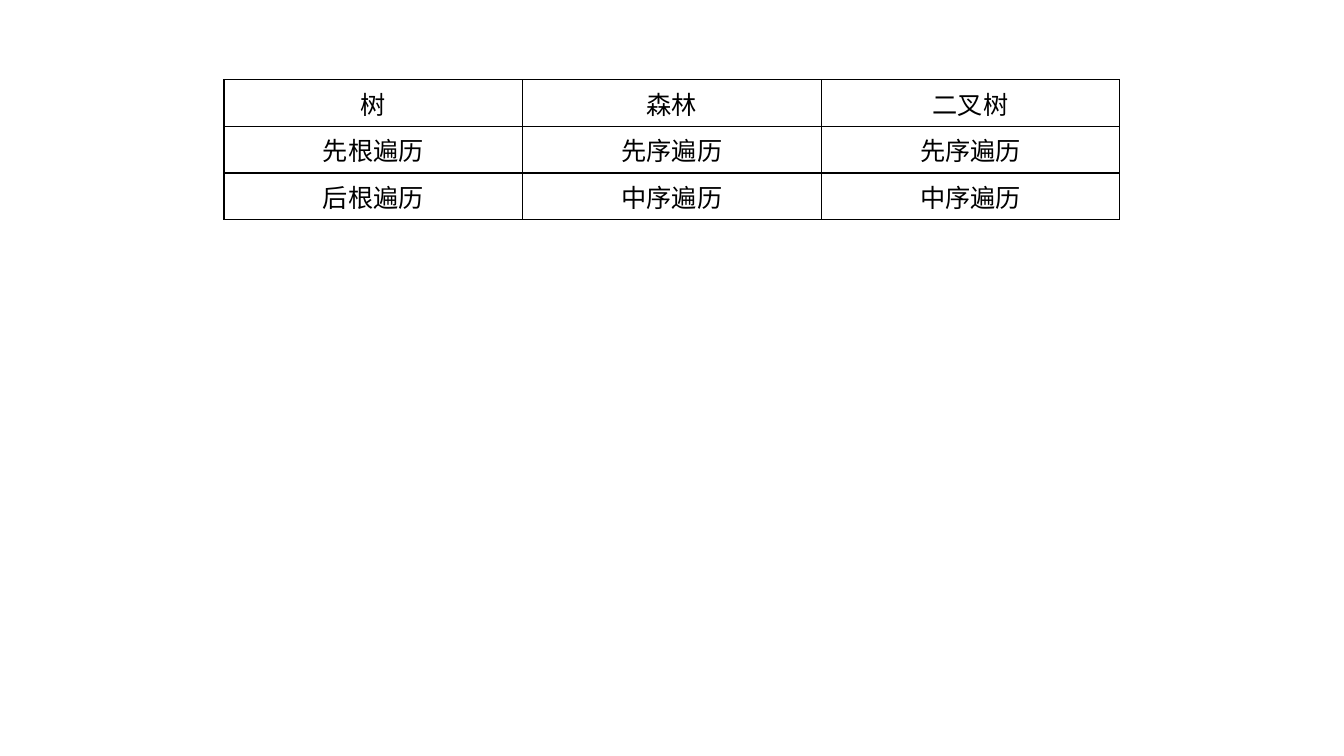
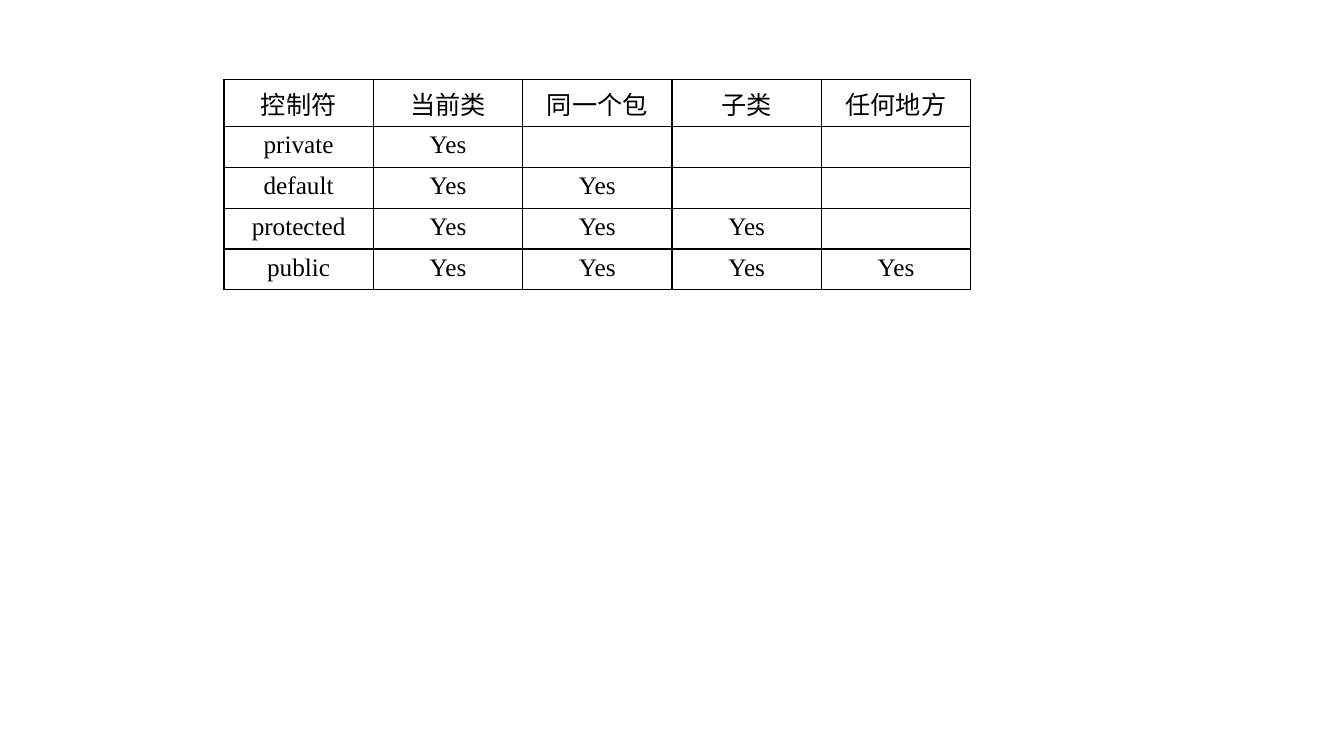
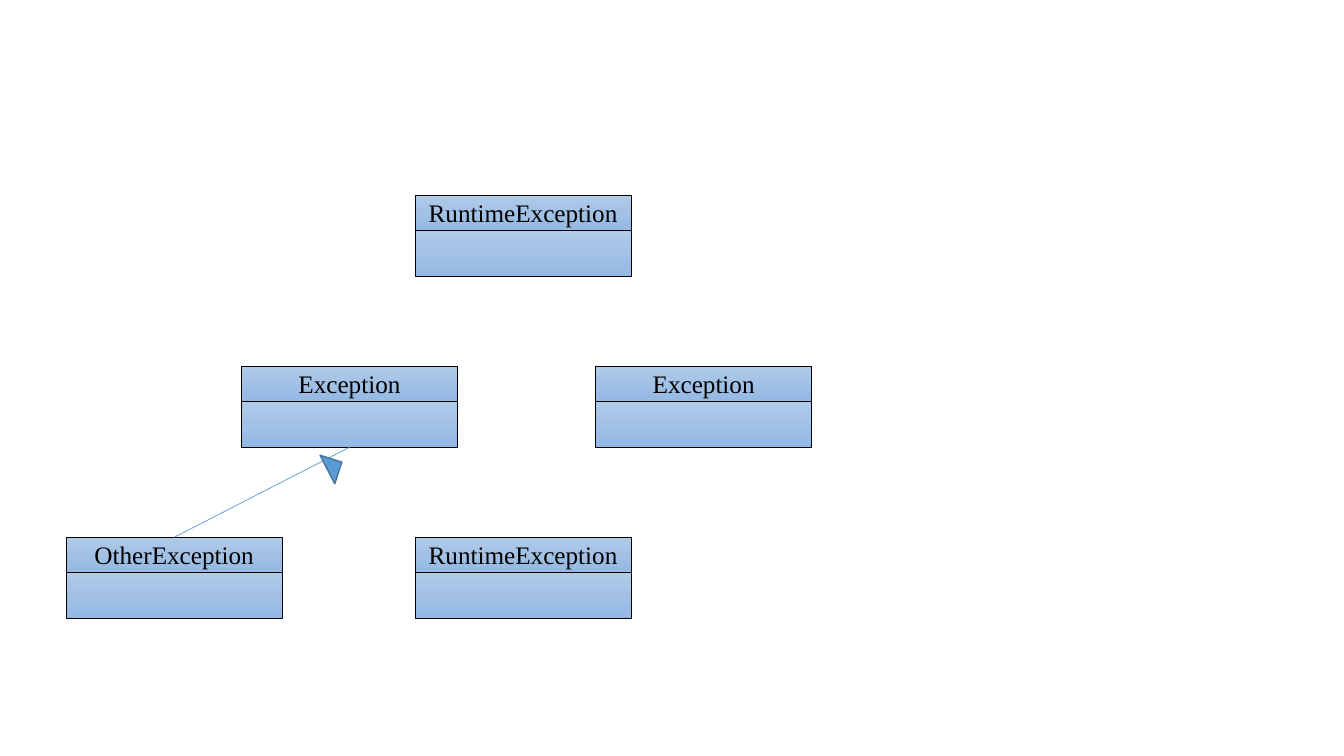
"""Build three slides: two comparison tables and an exception class diagram."""
import copy

import lxml.etree
import pptx
import pptx.dml.color
import pptx.enum.shapes
import pptx.enum.text
import pptx.oxml.ns
import pptx.util

Pt = pptx.util.Pt
RGBColor = pptx.dml.color.RGBColor
qn = pptx.oxml.ns.qn

BLACK = RGBColor(0x00, 0x00, 0x00)
BLUE = RGBColor(0x5B, 0x9B, 0xD5)
DARK_BLUE = RGBColor(0x43, 0x73, 0x9E)
CARD_STOPS = [
    (0, RGBColor(0xB1, 0xCB, 0xE9)),
    (0.5, RGBColor(0xA3, 0xC1, 0xE5)),
    (1, RGBColor(0x93, 0xB9, 0xE4)),
]
FONT = "Times New Roman"
TABLE_LEFT, TABLE_TOP, ROW_HEIGHT = 160, 57, 29.2
CARD_WIDTH, NAME_HEIGHT, BODY_HEIGHT = 154.3, 24.8, 33
TIER_TOP, TIER_PITCH = 139.6, 122.1

TRAVERSALS = [
    ["树", "森林", "二叉树"],
    ["先根遍历", "先序遍历", "先序遍历"],
    ["后根遍历", "中序遍历", "中序遍历"],
]
SCOPES = ["控制符", "当前类", "同一个包", "子类", "任何地方"]
MODIFIERS = ["private", "default", "protected", "public"]
CLASSES = [
    ("RuntimeException", 296.5, 0),
    ("Exception", 172.5, 1),
    ("Exception", 425.5, 1),
    ("RuntimeException", 296.5, 2),
    ("OtherException", 47.3, 2),
]


def write_centred(frame, text):
    """Put one centred black line of text in a text frame."""
    frame.text = text
    line = frame.paragraphs[0]
    line.alignment = pptx.enum.text.PP_ALIGN.CENTER
    for run in line.runs:
        run.font.name = FONT
        run.font.size = Pt(18)
        run.font.color.rgb = BLACK


def add_borders(cell):
    """Draw a thin black line on each side of a table cell."""
    properties = cell._tc.get_or_add_tcPr()
    for side in ("a:lnL", "a:lnR", "a:lnT", "a:lnB"):
        border = lxml.etree.SubElement(properties, qn(side), w=str(Pt(1)))
        solid = lxml.etree.SubElement(border, qn("a:solidFill"))
        lxml.etree.SubElement(solid, qn("a:srgbClr"), val=str(BLACK))


def add_grid(slide, rows, column_width):
    """Add a plain bordered table with equal columns."""
    columns = len(rows[0])
    grid = slide.shapes.add_table(
        len(rows), columns, Pt(TABLE_LEFT), Pt(TABLE_TOP),
        Pt(columns * column_width), Pt(len(rows) * ROW_HEIGHT)).table
    grid.first_row = False
    grid.horz_banding = False
    for column in grid.columns:
        column.width = Pt(column_width)
    for row, texts in zip(grid.rows, rows):
        row.height = Pt(ROW_HEIGHT)
        for cell, text in zip(row.cells, texts):
            write_centred(cell.text_frame, text)
            add_borders(cell)
            cell.fill.background()


def fill_card(fill, properties):
    """Apply the vertical three-stop card gradient."""
    fill.gradient()
    fill.gradient_angle = 270
    stop_list = properties.find(".//" + qn("a:gsLst"))
    stop_list.append(copy.deepcopy(stop_list[0]))
    for stop, (position, colour) in zip(fill.gradient_stops, CARD_STOPS):
        stop.position = position
        stop.color.rgb = colour


def add_compartment(slide, left, top, height, text=""):
    """Add one gradient compartment of a class card."""
    compartment = slide.shapes.add_shape(
        pptx.enum.shapes.MSO_SHAPE.RECTANGLE,
        Pt(left), Pt(top), Pt(CARD_WIDTH), Pt(height))
    compartment.shadow.inherit = False
    fill_card(compartment.fill, compartment._element.spPr)
    compartment.line.color.rgb = BLACK
    compartment.line.width = Pt(0.5)
    if text:
        compartment.text_frame.vertical_anchor = pptx.enum.text.MSO_ANCHOR.MIDDLE
        write_centred(compartment.text_frame, text)
    return compartment


def add_class_card(slide, name, left, tier):
    """Add a class card and return its name and body compartments."""
    top = TIER_TOP + tier * TIER_PITCH
    header = add_compartment(slide, left, top, NAME_HEIGHT, name)
    body = add_compartment(slide, left, top + NAME_HEIGHT, BODY_HEIGHT)
    return header, body


def add_inheritance(slide, child_header, parent_body):
    """Join a child's top centre to its parent's bottom centre."""
    link = slide.shapes.add_connector(
        pptx.enum.shapes.MSO_CONNECTOR.STRAIGHT,
        child_header.left + child_header.width // 2, child_header.top,
        parent_body.left + parent_body.width // 2,
        parent_body.top + parent_body.height)
    link.line.color.rgb = BLUE
    link.line.width = Pt(0.5)
    lxml.etree.SubElement(link._element.spPr, qn("a:effectLst"))


def add_arrow_tip(slide, left, top, width, height, angle):
    """Add the rotated triangle that marks the parent end."""
    tip = slide.shapes.add_shape(
        pptx.enum.shapes.MSO_SHAPE.ISOSCELES_TRIANGLE,
        Pt(left), Pt(top), Pt(width), Pt(height))
    tip.rotation = angle
    tip.shadow.inherit = False
    tip.fill.solid()
    tip.fill.fore_color.rgb = BLUE
    tip.line.color.rgb = DARK_BLUE
    tip.line.width = Pt(1)


def main():
    """Build and save the presentation."""
    deck = pptx.Presentation()
    deck.slide_width, deck.slide_height = Pt(960), Pt(540)
    blank = deck.slide_layouts[6]
    traversal_slide, access_slide, class_slide = (
        deck.slides.add_slide(blank) for _ in range(3))

    add_grid(traversal_slide, TRAVERSALS, 213.33)

    access = [
        [modifier] + ["Yes" if scope <= level else "" for scope in range(4)]
        for level, modifier in enumerate(MODIFIERS)]
    add_grid(access_slide, [SCOPES] + access, 106.67)

    cards = [add_class_card(class_slide, *entry) for entry in CLASSES]
    other_header, exception_body = cards[4][0], cards[1][1]
    add_inheritance(class_slide, other_header, exception_body)
    add_arrow_tip(class_slide, 227.5, 327, 23, 11.5, 62.8)

    deck.save("out.pptx")


if __name__ == "__main__":
    main()
